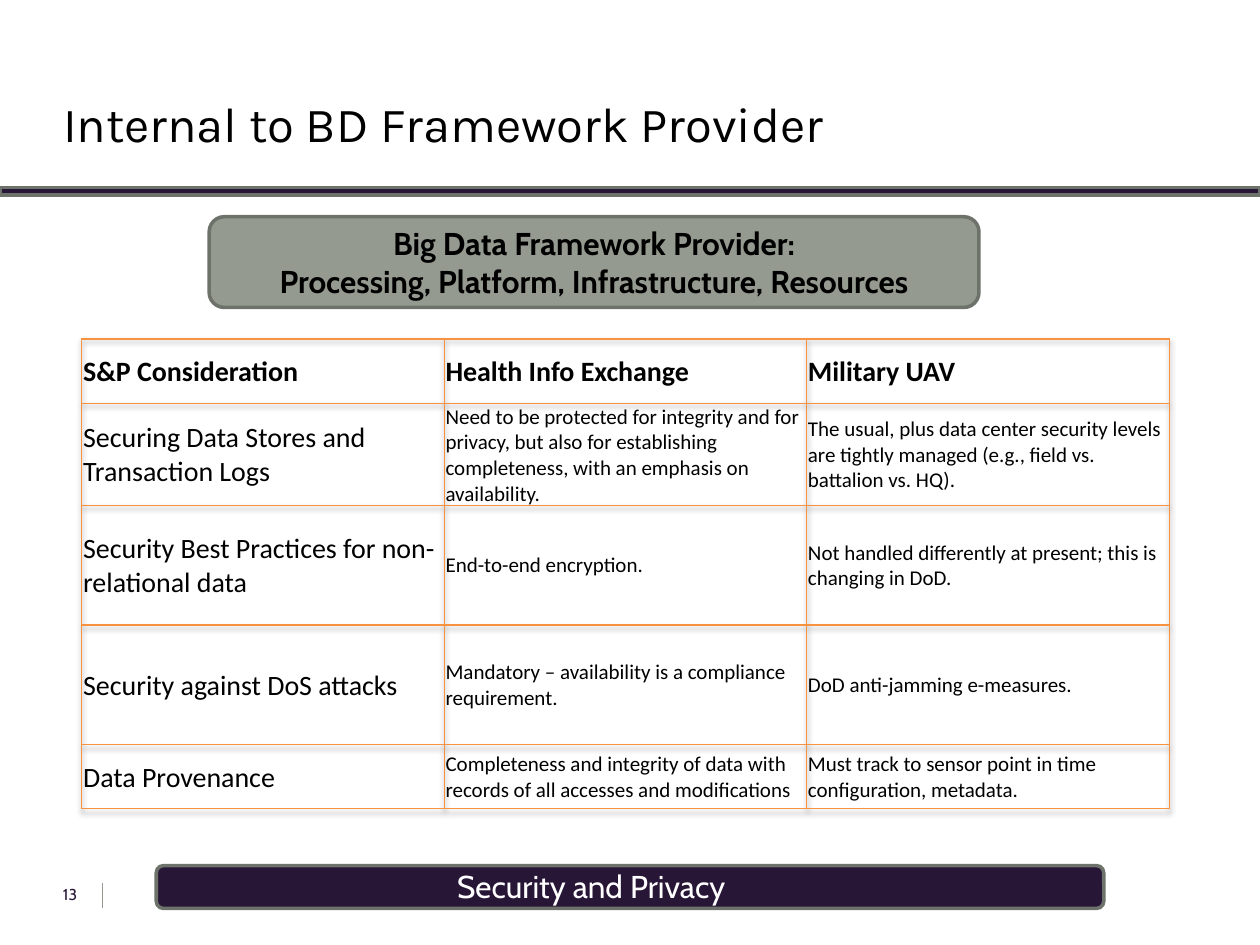
"""Build the slide on security considerations inside the Big Data framework provider."""
import dataclasses
import typing

import lxml.etree
import pptx
import pptx.dml.color
import pptx.enum.shapes
import pptx.enum.text
import pptx.oxml
import pptx.oxml.ns
import pptx.util

Shapes = pptx.enum.shapes.MSO_SHAPE
Anchor = pptx.enum.text.MSO_ANCHOR
Align = pptx.enum.text.PP_ALIGN
SLIDE_WIDTH, SLIDE_HEIGHT = pptx.util.Inches(10), pptx.util.Inches(7.5)
GRID_COLUMNS, GRID_ROWS = 100, 75


@dataclasses.dataclass(frozen=True)
class Theme:
    black: str = "000000"
    white: str = "FFFFFF"
    plum: str = "281637"
    sage: str = "949A90"
    moss: str = "6D726B"
    orange: str = "F69240"
    title_font: str = "Karla"
    label_font: str = "Cabin"
    table_font: str = "Calibri"
    title_size: int = 28
    label_size: int = 18
    topic_size: int = 16
    detail_size: int = 12
    number_size: int = 9
    outline: float = 2
    hairline: float = 0.5
    border: float = 0.75


@dataclasses.dataclass(frozen=True)
class Area:
    column: float
    row: float
    columns: float
    rows: float

    def place(self) -> tuple[int, int, int, int]:
        return across(self.column), down(self.row), across(self.columns), down(self.rows)


@dataclasses.dataclass(frozen=True)
class Panel:
    kind: Shapes
    area: Area
    fill: str


@dataclasses.dataclass(frozen=True)
class Consideration:
    topic: str
    health: str
    military: str
    rows: float


THEME = Theme()
BOTTOM_BAR = Panel(Shapes.ROUNDED_RECTANGLE, Area(12.4, 68.7, 75.2, 3.4), THEME.plum)
TITLE_RULE = Panel(Shapes.RECTANGLE, Area(0, 14.9, 100, 0.6), THEME.plum)
PROVIDER = Panel(Shapes.ROUNDED_RECTANGLE, Area(16.6, 17.2, 61.1, 7.2), THEME.sage)
TABLE_AREA = Area(6.5, 26.9, 86.3, 35.2)
CONSIDERATIONS = (
    Consideration("S&P Consideration", "Health Info Exchange", "Military UAV", 5.1),
    Consideration(
        "Securing Data Stores and Transaction Logs",
        "Need to be protected for integrity and for privacy, but also for establishing "
        "completeness, with an emphasis on availability.",
        "The usual, plus data center security levels are tightly managed "
        "(e.g., field vs. battalion vs. HQ).", 6),
    Consideration("Security Best Practices for non-relational data", "End-to-end encryption.",
                  "Not handled differently at present; this is changing in DoD.", 9.5),
    Consideration("Security against DoS attacks",
                  "Mandatory – availability is a compliance requirement.",
                  "DoD anti-jamming e-measures.", 9.5),
    Consideration("Data Provenance",
                  "Completeness and integrity of data with records of all accesses and modifications",
                  "Must track to sensor point in time configuration, metadata.", 5.1),
)


def across(columns: float) -> int:
    return round(SLIDE_WIDTH * columns / GRID_COLUMNS)


def down(rows: float) -> int:
    return round(SLIDE_HEIGHT * rows / GRID_ROWS)


def color(value: str) -> pptx.dml.color.RGBColor:
    return pptx.dml.color.RGBColor.from_string(value)


def write(frame: typing.Any, *lines: str, font: str, size: float, ink: str = THEME.black,
          bold: bool = False, align: Align = Align.LEFT) -> None:
    for index, line in enumerate(lines):
        para = frame.paragraphs[0] if index == 0 else frame.add_paragraph()
        para.alignment = align
        span = para.add_run()
        span.text = line
        span.font.name, span.font.size, span.font.bold = font, pptx.util.Pt(size), bold
        span.font.color.rgb = color(ink)


def set_margins(frame: typing.Any, side: float = 0, top: float = 0, bottom: float = 0) -> None:
    frame.margin_left = frame.margin_right = pptx.util.Inches(side)
    frame.margin_top, frame.margin_bottom = pptx.util.Inches(top), pptx.util.Inches(bottom)


def add_panel(page: typing.Any, panel: Panel) -> typing.Any:
    box = page.shapes.add_shape(panel.kind, *panel.area.place())
    box.shadow.inherit = False
    box.fill.solid()
    box.fill.fore_color.rgb = color(panel.fill)
    box.line.color.rgb = color(THEME.moss)
    box.line.width = pptx.util.Pt(THEME.outline)
    return box


def add_label(page: typing.Any, area: Area, wrap: bool) -> typing.Any:
    frame = page.shapes.add_textbox(*area.place()).text_frame
    frame.word_wrap = wrap
    return frame


def add_divider(page: typing.Any, column: float, top: float, bottom: float) -> None:
    divider = page.shapes.add_connector(pptx.enum.shapes.MSO_CONNECTOR.STRAIGHT, across(column),
                                        down(top), across(column), down(bottom))
    divider.line.color.rgb = color(THEME.sage)
    divider.line.width = pptx.util.Pt(THEME.hairline)
    lxml.etree.SubElement(divider._element.spPr, pptx.oxml.ns.qn("a:effectLst"))


def add_borders(cell: typing.Any) -> None:
    properties = cell._tc.get_or_add_tcPr()
    for index, side in enumerate(("lnL", "lnR", "lnT", "lnB")):
        properties.insert(index, pptx.oxml.parse_xml(
            f'<a:{side} {pptx.oxml.ns.nsdecls("a")} w="{pptx.util.Pt(THEME.border)}">'
            f'<a:solidFill><a:srgbClr val="{THEME.orange}"/></a:solidFill></a:{side}>'))


def add_table_shadow(table: typing.Any) -> None:
    table._tbl.tblPr.insert(0, pptx.oxml.parse_xml(
        f'<a:effectLst {pptx.oxml.ns.nsdecls("a")}>'
        '<a:outerShdw blurRad="40000" dist="20000" dir="5400000" rotWithShape="0">'
        '<a:srgbClr val="000000"><a:alpha val="38000"/></a:srgbClr>'
        '</a:outerShdw></a:effectLst>'))


def add_considerations(page: typing.Any) -> None:
    table = page.shapes.add_table(len(CONSIDERATIONS), 3, *TABLE_AREA.place()).table
    table.horz_banding = False
    add_table_shadow(table)
    for row_index, item in enumerate(CONSIDERATIONS):
        table.rows[row_index].height = down(item.rows)
        header = row_index == 0
        for column_index, text in enumerate((item.topic, item.health, item.military)):
            cell = table.cell(row_index, column_index)
            cell.fill.background()
            cell.vertical_anchor = Anchor.MIDDLE
            set_margins(cell, side=0.01, top=0.01)
            size = THEME.topic_size if header or column_index == 0 else THEME.detail_size
            write(cell.text_frame, text, font=THEME.table_font, size=size, bold=header)
            add_borders(cell)


def main() -> None:
    deck = pptx.Presentation()
    deck.slide_width, deck.slide_height = SLIDE_WIDTH, SLIDE_HEIGHT
    page = deck.slides.add_slide(deck.slide_layouts.get_by_name("Title Only"))

    title = page.shapes.title
    title.left, title.top, title.width, title.height = Area(5, 5.3, 89.8, 8.9).place()
    title.text_frame.vertical_anchor = Anchor.MIDDLE
    set_margins(title.text_frame)
    write(title.text_frame, "Internal to BD Framework Provider",
          font=THEME.title_font, size=THEME.title_size)

    add_divider(page, 8.1, 70.1, 72.1)
    add_panel(page, BOTTOM_BAR)
    add_panel(page, TITLE_RULE)
    write(add_label(page, Area(35.3, 68.3, 23.4, 4), wrap=False), "Security and Privacy",
          font=THEME.label_font, size=THEME.label_size, ink=THEME.white)
    number = add_label(page, Area(5, 70.2, 4, 1.7), wrap=True)
    set_margins(number)
    write(number, "13", font=THEME.label_font, size=THEME.number_size, ink=THEME.plum)

    add_considerations(page)
    provider = add_panel(page, PROVIDER).text_frame
    provider.vertical_anchor = Anchor.MIDDLE
    write(provider, "Big Data Framework Provider:",
          "Processing, Platform, Infrastructure, Resources", font=THEME.label_font,
          size=THEME.label_size, bold=True, align=Align.CENTER)
    deck.save("out.pptx")


if __name__ == "__main__":
    main()
